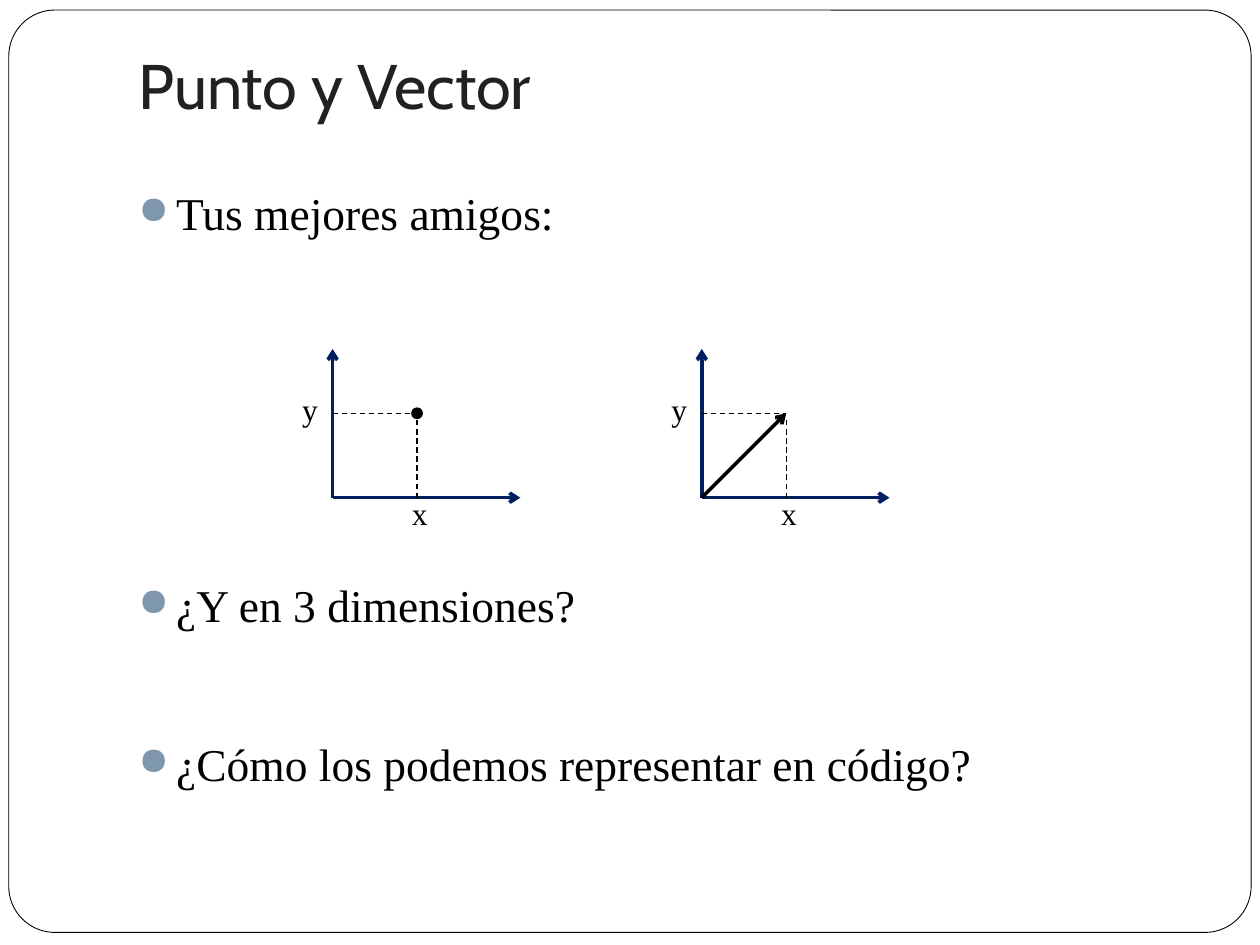
from lxml.etree import SubElement
from pptx import Presentation
from pptx.dml.color import RGBColor
from pptx.enum.dml import MSO_LINE
from pptx.enum.shapes import MSO_CONNECTOR, MSO_SHAPE
from pptx.enum.text import MSO_ANCHOR, PP_ALIGN
from pptx.oxml.ns import qn
from pptx.util import Inches, Pt

BLACK = RGBColor(0x00, 0x00, 0x00)
WHITE = RGBColor(0xFF, 0xFF, 0xFF)
INK = RGBColor(0x1F, 0x21, 0x23)
NAVY = RGBColor(0x00, 0x20, 0x60)
BULLET_BLUE = RGBColor(0x7E, 0x97, 0xAD)
TITLE_FONT, BODY_FONT = "Cabin", "Times New Roman"

# Shared column of the title and the bullets
LEFT, WIDTH = 1, 8.5
BULLETS = [
    (1.39, "Tus mejores amigos:"),
    (4.5, "¿Y en 3 dimensiones?"),
    (5.76, "¿Cómo los podemos representar en código?"),
]

# Both plots share a baseline; lengths are measured from the origin
ORIGIN_Y = 3.95
POINT_ORIGIN_X, VECTOR_ORIGIN_X = 2.64, 5.57
X_AXIS, Y_AXIS, COORDINATE = 1.49, 1.18, 0.67
DOT = 0.08


def style_text(text_frame, font_name, size, color):
    font = text_frame.paragraphs[0].runs[0].font
    font.name, font.size, font.color.rgb = font_name, Pt(size), color


def add_frame(slide):
    frame = slide.shapes.add_shape(
        MSO_SHAPE.ROUNDED_RECTANGLE,
        Inches(0.07), Inches(0.08), Inches(9.86), Inches(7.32))
    frame.adjustments[0] = 0.05
    frame.shadow.inherit = False
    frame.fill.solid()
    frame.fill.fore_color.rgb = WHITE
    frame.line.color.rgb = BLACK
    frame.line.width = Pt(0.5)
    # Send the frame behind the title
    slide.shapes.element.insert(2, frame.element)


def set_title(slide, text):
    title = slide.shapes.title
    title.left, title.top = Inches(LEFT), Inches(0.3)
    title.width, title.height = Inches(WIDTH), Inches(0.77)
    frame = title.text_frame
    frame.text = text
    frame.vertical_anchor = MSO_ANCHOR.BOTTOM
    frame.margin_bottom = Inches(0.1)
    frame.paragraphs[0].alignment = PP_ALIGN.LEFT
    style_text(frame, TITLE_FONT, 36, INK)


def add_bullet(slide, top, text):
    box = slide.shapes.add_textbox(
        Inches(LEFT), Inches(top), Inches(WIDTH), Inches(0.59))
    frame = box.text_frame
    frame.word_wrap = True
    frame.vertical_anchor = MSO_ANCHOR.MIDDLE
    frame.text = text
    properties = frame.paragraphs[0]._p.get_or_add_pPr()
    properties.set("marL", str(Inches(0.3)))
    properties.set("indent", str(-Inches(0.3)))
    color = SubElement(properties, qn("a:buClr"))
    SubElement(color, qn("a:srgbClr"), val=str(BULLET_BLUE))
    SubElement(properties, qn("a:buSzPct"), val="85000")
    SubElement(properties, qn("a:buChar"), char="●")
    style_text(frame, BODY_FONT, 26, BLACK)


def add_line(slide, start, end, color, width, dashed=False, arrow=False):
    line = slide.shapes.add_connector(
        MSO_CONNECTOR.STRAIGHT, *(Inches(v) for v in (*start, *end)))
    line.line.color.rgb = color
    line.line.width = Pt(width)
    if dashed:
        line.line.dash_style = MSO_LINE.DASH
    if arrow:
        SubElement(line.line._get_or_add_ln(), qn("a:tailEnd"), type="arrow")
    SubElement(line.element.spPr, qn("a:effectLst"))


def add_label(slide, left, top, text):
    label = slide.shapes.add_textbox(
        Inches(left), Inches(top), Inches(0.32), Inches(0.4))
    label.text_frame.word_wrap = False
    label.text_frame.text = text
    style_text(label.text_frame, BODY_FONT, 18, BLACK)


def add_plot(slide, origin_x):
    """Draw axes, dashed guides and labels; return the origin and the point."""
    origin = (origin_x, ORIGIN_Y)
    point_x, point_y = origin_x + COORDINATE, ORIGIN_Y - COORDINATE
    for axis_end in ((origin_x + X_AXIS, ORIGIN_Y),
                     (origin_x, ORIGIN_Y - Y_AXIS)):
        add_line(slide, origin, axis_end, NAVY, 2, arrow=True)
    add_line(slide, (point_x, ORIGIN_Y), (point_x, point_y + DOT / 2),
             BLACK, 0.75, dashed=True)
    add_line(slide, (origin_x, point_y), (point_x, point_y),
             BLACK, 0.75, dashed=True)
    add_label(slide, point_x - 0.14, ORIGIN_Y - 0.08, "x")
    add_label(slide, origin_x - 0.34, point_y - 0.23, "y")
    return origin, (point_x, point_y)


def add_dot(slide, center):
    left, top = (Inches(v - DOT / 2) for v in center)
    dot = slide.shapes.add_shape(
        MSO_SHAPE.OVAL, left, top, Inches(DOT), Inches(DOT))
    dot.shadow.inherit = False
    dot.fill.solid()
    dot.fill.fore_color.rgb = BLACK
    dot.line.color.rgb = BLACK
    dot.line.width = Pt(1)


def main():
    presentation = Presentation()
    presentation.slide_width = Inches(10)
    presentation.slide_height = Inches(7.5)
    slide = presentation.slides.add_slide(presentation.slide_layouts[5])

    add_frame(slide)
    set_title(slide, "Punto y Vector")
    for top, text in BULLETS:
        add_bullet(slide, top, text)

    # Point on the left, vector on the right
    _, point = add_plot(slide, POINT_ORIGIN_X)
    add_dot(slide, point)
    origin, tip = add_plot(slide, VECTOR_ORIGIN_X)
    add_line(slide, origin, tip, BLACK, 2, arrow=True)

    presentation.save("out.pptx")


if __name__ == "__main__":
    main()
